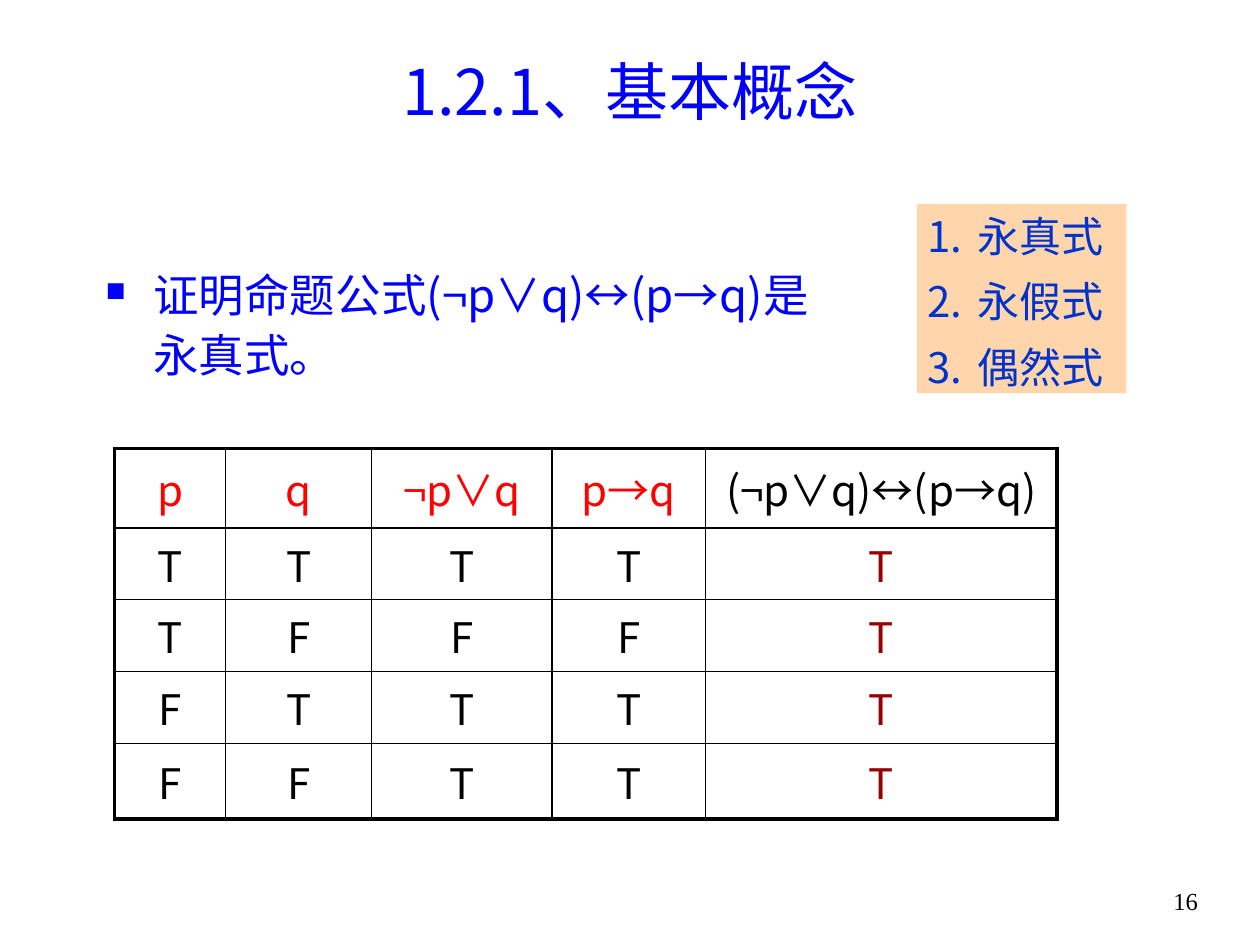
import pptx
import pptx.dml.color
import pptx.enum.shapes
import pptx.enum.text
import pptx.oxml
import pptx.oxml.ns
import pptx.util
import lxml.etree

Inches = pptx.util.Inches
Pt = pptx.util.Pt
ALIGN = pptx.enum.text.PP_ALIGN
ANCHOR = pptx.enum.text.MSO_ANCHOR
FONT = "Noto Sans CJK SC"
BLUE, RED, DARK_RED, BLACK = "0000FF", "FF0000", "990000", "000000"


def color(value):
    """Turn a hex string into a colour."""
    return pptx.dml.color.RGBColor.from_string(value)


def add_element(parent, tag, **attributes):
    """Append a drawing element with attributes to a parent."""
    element = lxml.etree.SubElement(parent, pptx.oxml.ns.qn(tag))
    for name, value in attributes.items():
        element.set(name, str(value))
    return element


def write(paragraph, text, size=24, fill=BLACK, font=FONT, align=ALIGN.LEFT,
          line=None, before=0, after=0, indent=0):
    """Write formatted text into a paragraph."""
    paragraph.alignment = align
    paragraph.line_spacing = line
    paragraph.space_before = Pt(before)
    paragraph.space_after = Pt(after)
    if indent:
        properties = paragraph._p.get_or_add_pPr()
        properties.set("marL", str(Inches(indent)))
        properties.set("indent", str(-Inches(indent)))
    run = paragraph.add_run()
    run.text = text
    run.font.size = Pt(size)
    run.font.name = font
    run.font.color.rgb = color(fill)
    add_element(run._r.get_or_add_rPr(), "a:ea", typeface=font)


def add_text_box(slide, box, anchor=ANCHOR.TOP):
    """Add a wrapping text box and return its first paragraph."""
    frame = slide.shapes.add_textbox(*map(Inches, box)).text_frame
    frame.word_wrap = True
    frame.vertical_anchor = anchor
    return frame.paragraphs[0]


def add_title(slide, box):
    """Add the centred heading."""
    write(add_text_box(slide, box, ANCHOR.MIDDLE), "1.2.1、基本概念",
          size=36, fill=BLUE, align=ALIGN.CENTER)


def add_statement(slide, box):
    """Add the bulleted statement to prove."""
    paragraph = add_text_box(slide, box)
    write(paragraph, "证明命题公式(¬p∨q)↔(p→q)是永真式。", size=26, fill=BLUE,
          line=1.1, before=5, after=6, indent=0.38)
    properties = paragraph._p.get_or_add_pPr()
    add_element(add_element(properties, "a:buClr"), "a:srgbClr", val=BLUE)
    add_element(properties, "a:buSzPct", val=60000)
    add_element(properties, "a:buChar", char="■")


def add_formula_kinds(slide, box):
    """Add the shaded box with the numbered kinds of formula."""
    shape = slide.shapes.add_shape(
        pptx.enum.shapes.MSO_SHAPE.RECTANGLE, *map(Inches, box))
    shape.shadow.inherit = False
    shape.fill.solid()
    shape.fill.fore_color.rgb = color("FFD5AB")
    shape.line.fill.background()
    frame = shape.text_frame
    frame.word_wrap = False
    frame.vertical_anchor = ANCHOR.MIDDLE
    frame.margin_left = Inches(0.08)
    frame.margin_top = frame.margin_right = frame.margin_bottom = 0
    for index, kind in enumerate(["永真式", "永假式", "偶然式"]):
        paragraph = frame.add_paragraph() if index else frame.paragraphs[0]
        write(paragraph, kind, fill="0033CC", line=1.1, after=6, indent=0.4)
        add_element(paragraph._p.get_or_add_pPr(), "a:buAutoNum", type="arabicPeriod")


def set_borders(cell, thick_sides):
    """Draw the cell borders, with heavier lines on the outer sides."""
    properties = cell._tc.get_or_add_tcPr()
    for side in "LRTB":
        width = Pt(2.25 if side in thick_sides else 1)
        line = add_element(properties, f"a:ln{side}", w=width)
        add_element(add_element(line, "a:solidFill"), "a:srgbClr", val=BLACK)


def add_truth_table(slide, box):
    """Add the truth table with a heavy outer frame."""
    rows = [["p", "q", "¬p∨q", "p→q", "(¬p∨q)↔(p→q)"],
            *map(list, ["TTTTT", "TFFFT", "FTTTT", "FFTTT"])]
    widths = [0.88, 1.16, 1.43, 1.22, 2.79]
    heights = [0.63, 0.57, 0.57, 0.57, 0.6]
    last_row, last_column = len(rows) - 1, len(widths) - 1
    table = slide.shapes.add_table(
        len(rows), len(widths), *map(Inches, box)).table
    table.first_row = table.horz_banding = False
    for column, width in zip(table.columns, widths):
        column.width = Inches(width)
    for row, height in zip(table.rows, heights):
        row.height = Inches(height)
    for i, values in enumerate(rows):
        for j, value in enumerate(values):
            cell = table.cell(i, j)
            cell.vertical_anchor = ANCHOR.MIDDLE
            cell.margin_left = cell.margin_right = 0
            cell.margin_top = cell.margin_bottom = 0
            edges = {"L": j == 0, "R": j == last_column,
                     "T": i == 0, "B": i == last_row}
            set_borders(cell, [side for side, outer in edges.items() if outer])
            cell.fill.background()
            is_header, is_result = i == 0, j == last_column
            fill = BLACK
            if is_header != is_result:
                fill = RED if is_header else DARK_RED
            write(cell.text_frame.paragraphs[0], value, fill=fill,
                  align=ALIGN.CENTER, before=5)


def add_page_number(slide, box):
    """Add the page number."""
    write(add_text_box(slide, box), "16", size=14, font="Times New Roman",
          align=ALIGN.CENTER)


def main():
    """Build the slide and save it."""
    presentation = pptx.Presentation()
    presentation.slide_width = Inches(10)
    presentation.slide_height = Inches(7.5)
    slide = presentation.slides.add_slide(presentation.slide_layouts[6])
    add_title(slide, (0.75, 0.36, 8.5, 0.71))
    add_statement(slide, (0.74, 2.03, 6.06, 1.05))
    add_truth_table(slide, (0.91, 3.56, 7.48, 2.94))
    add_page_number(slide, (8.94, 6.98, 0.94, 0.35))
    add_formula_kinds(slide, (7.28, 1.62, 1.66, 1.5))
    presentation.save("out.pptx")


if __name__ == "__main__":
    main()
